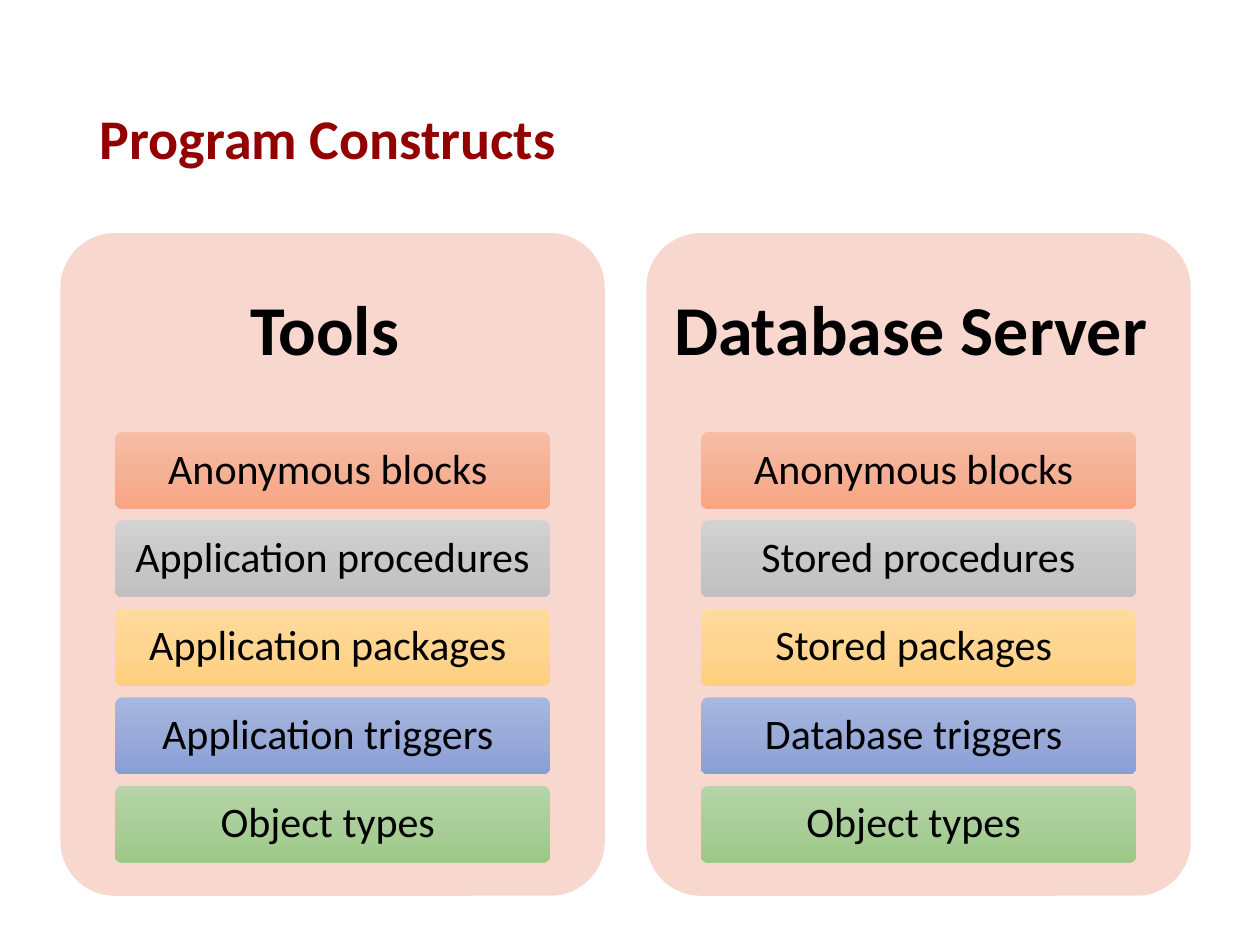
import copy

import pptx
import pptx.dml.color
import pptx.enum.shapes
import pptx.enum.text
import pptx.oxml.ns
import pptx.util

RGB = pptx.dml.color.RGBColor
TITLE_RED = RGB(0x92, 0x00, 0x00)
BLACK = RGB(0x00, 0x00, 0x00)
PANEL_PINK = RGB(0xF8, 0xD7, 0xCE)
BAR_GRADIENTS = [
    (RGB(0xF7, 0xBD, 0xA5), RGB(0xF5, 0xB1, 0x96), RGB(0xF8, 0xA5, 0x82)),
    (RGB(0xD2, 0xD2, 0xD2), RGB(0xC8, 0xC8, 0xC8), RGB(0xC0, 0xC0, 0xC0)),
    (RGB(0xFF, 0xDB, 0x9E), RGB(0xFF, 0xD5, 0x90), RGB(0xFF, 0xD0, 0x7C)),
    (RGB(0xA8, 0xB7, 0xDF), RGB(0x9A, 0xAB, 0xD9), RGB(0x88, 0x9E, 0xD7)),
    (RGB(0xB5, 0xD5, 0xA7), RGB(0xAA, 0xCE, 0x9A), RGB(0x9C, 0xC9, 0x87)),
]
FONT = "Calibri"

PANELS = [
    ("Tools ", ["Anonymous blocks ", "Application procedures",
                "Application packages ", "Application triggers ",
                "Object types "]),
    ("Database Server ", ["Anonymous blocks ", "Stored procedures",
                          "Stored packages ", "Database triggers ",
                          "Object types "]),
]

# Panel grid, in inches
PANEL_LEFT, PANEL_TOP = 0.48, 1.85
PANEL_WIDTH, PANEL_HEIGHT = 4.32, 5.26
PANEL_PITCH = 4.65

# Shares of a panel
HEADING_SHARE = 0.3
BARS_SHARE = 0.65
BAR_WIDTH_SHARE = 0.8
GAP_PER_BAR = 0.15


def inches(*lengths):
    return [pptx.util.Inches(length) for length in lengths]


def write(frame, wording, size, color, align, bold=False):
    frame.word_wrap = True
    frame.auto_size = pptx.enum.text.MSO_AUTO_SIZE.NONE
    frame.vertical_anchor = pptx.enum.text.MSO_ANCHOR.MIDDLE
    paragraph = frame.paragraphs[0]
    paragraph.alignment = align
    paragraph.line_spacing = 0.9
    run = paragraph.add_run()
    run.text = wording
    run.font.name = FONT
    run.font.size = pptx.util.Pt(size)
    run.font.bold = bold
    run.font.color.rgb = color


def set_insets(frame, across, down):
    frame.margin_left = frame.margin_right = pptx.util.Inches(across)
    frame.margin_top = frame.margin_bottom = pptx.util.Inches(down)


def add_rounded(shapes, box):
    rounded = shapes.add_shape(
        pptx.enum.shapes.MSO_SHAPE.ROUNDED_RECTANGLE, *inches(*box))
    rounded.adjustments[0] = 0.1
    rounded.shadow.inherit = False
    rounded.line.fill.background()
    return rounded


def fill_downward(shape, colors):
    """Fill with three evenly spaced colours running from top to bottom."""
    shape.fill.gradient()
    shape.fill.gradient_angle = 270
    stop_list = shape.element.spPr.find(".//" + pptx.oxml.ns.qn("a:gsLst"))
    stop_list.insert(1, copy.deepcopy(stop_list[0]))
    for stop, position, color in zip(shape.fill.gradient_stops,
                                     (0, 0.5, 1), colors):
        stop.position = position
        stop.color.rgb = color


def add_bar(shapes, box, wording, colors):
    bar = add_rounded(shapes, box)
    fill_downward(bar, colors)
    set_insets(bar.text_frame, 0.07, 0.05)
    write(bar.text_frame, wording, 24, BLACK, pptx.enum.text.PP_ALIGN.CENTER)


def add_panel(shapes, box, heading, constructs):
    left, top, width, height = box
    panel = add_rounded(shapes, box)
    panel.fill.solid()
    panel.fill.fore_color.rgb = PANEL_PINK

    heading_height = height * HEADING_SHARE
    heading_box = shapes.add_textbox(
        *inches(left, top, width, heading_height))
    set_insets(heading_box.text_frame, 0.17, 0.17)
    write(heading_box.text_frame, heading, 40, BLACK,
          pptx.enum.text.PP_ALIGN.CENTER, bold=True)

    count = len(constructs)
    bar_height = height * BARS_SHARE / (count + (count - 1) * GAP_PER_BAR)
    bar_width = width * BAR_WIDTH_SHARE
    bar_left = left + (width - bar_width) / 2
    for row, (construct, colors) in enumerate(zip(constructs, BAR_GRADIENTS)):
        bar_top = top + heading_height + row * bar_height * (1 + GAP_PER_BAR)
        add_bar(shapes, (bar_left, bar_top, bar_width, bar_height),
                construct, colors)


def add_title(slide, box, wording):
    title = slide.shapes.title
    title.left, title.top, title.width, title.height = inches(*box)
    write(title.text_frame, wording, 32, TITLE_RED,
          pptx.enum.text.PP_ALIGN.LEFT, bold=True)


def main():
    deck = pptx.Presentation()
    deck.slide_width, deck.slide_height = inches(10, 7.5)
    slide = deck.slides.add_slide(deck.slide_layouts.get_by_name("Title Only"))
    add_title(slide, (0.69, 0.4, 8.62, 1.45), "Program Constructs")
    diagram = slide.shapes.add_group_shape()
    for column, (heading, constructs) in enumerate(PANELS):
        panel_box = (PANEL_LEFT + column * PANEL_PITCH, PANEL_TOP,
                     PANEL_WIDTH, PANEL_HEIGHT)
        add_panel(diagram.shapes, panel_box, heading, constructs)
    deck.save("out.pptx")


if __name__ == "__main__":
    main()
